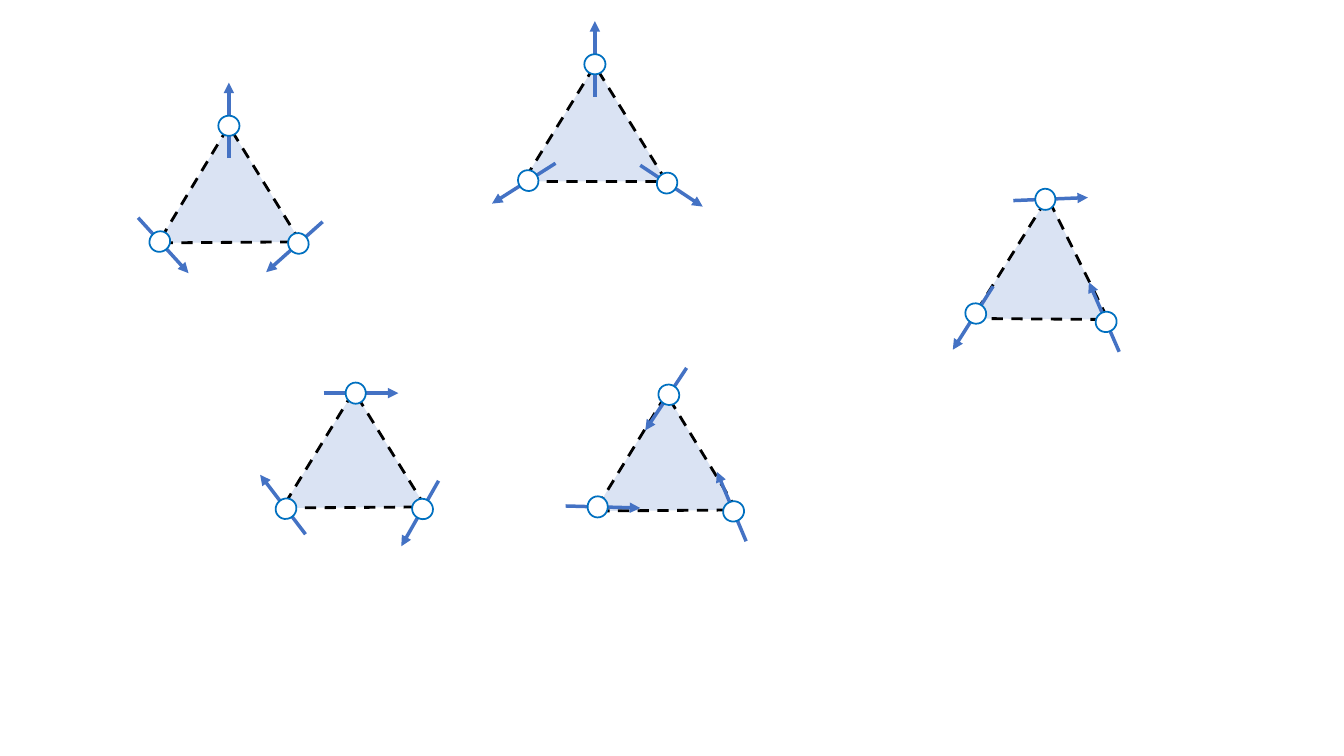
from math import atan2, degrees

from lxml import etree
from pptx import Presentation
from pptx.dml.color import RGBColor
from pptx.enum.dml import MSO_LINE
from pptx.enum.shapes import MSO_CONNECTOR, MSO_SHAPE
from pptx.oxml.ns import qn
from pptx.util import Inches, Pt

STRAIGHT = MSO_CONNECTOR.STRAIGHT
SITE = MSO_SHAPE.FLOWCHART_CONNECTOR
DASH = MSO_LINE.DASH

PALE_BLUE = RGBColor(0xDA, 0xE3, 0xF3)
ARROW_BLUE = RGBColor(0x44, 0x72, 0xC4)
SITE_BLUE = RGBColor(0x00, 0x70, 0xC0)
BLACK = RGBColor(0, 0, 0)
WHITE = RGBColor(0xFF, 0xFF, 0xFF)

# Each plaquette: triangle corners, then spins as (tail x, y, head x, y), in inches
PLAQUETTES = [
    ([(6.61, 1.8), (5.9, 0.65), (5.19, 1.8)],
     [(6.35, 1.64, 6.97, 2.05), (5.9, 0.96, 5.9, 0.21), (5.51, 1.62, 4.88, 2.02)]),
    ([(4.22, 5.03), (3.51, 3.88), (2.8, 5.04)],
     [(4.35, 4.77, 3.98, 5.42), (3.21, 3.9, 3.95, 3.9), (3.03, 5.3, 2.58, 4.71)]),
    ([(7.31, 5.06), (6.61, 3.91), (5.9, 5.07)],
     [(7.4, 5.37, 7.11, 4.68), (6.81, 3.65, 6.4, 4.27), (5.61, 5.02, 6.35, 5.04)]),
    ([(9.64, 3.16), (10.99, 3.17), (10.39, 1.96)],
     [(9.85, 2.84, 9.45, 3.47), (11.1, 3.49, 10.8, 2.8), (10.05, 1.99, 10.79, 1.96)]),
    ([(2.98, 2.4), (2.27, 1.25), (1.57, 2.41)],
     [(3.2, 2.2, 2.64, 2.7), (2.27, 1.57, 2.27, 0.82), (1.37, 2.16, 1.87, 2.71)]),
]
SITE_W, SITE_H = 0.21, 0.2
SITE_POS = 0.43  # share of the arrow length, from the tail


def style(sp, line, width, fill):
    sp.shadow.inherit = False
    sp.fill.solid()
    sp.fill.fore_color.rgb = fill
    sp.line.color.rgb = line
    sp.line.width = Pt(width)


def add_triangle(shapes, corners):
    points = [(Inches(x), Inches(y)) for x, y in corners]
    builder = shapes.build_freeform(*points[0])
    builder.add_line_segments(points[1:], close=True)
    sp = builder.convert_to_shape()
    style(sp, BLACK, 2, PALE_BLUE)
    sp.line.dash_style = DASH


def add_spin(shapes, x1, y1, x2, y2):
    # Arrow
    arrow = shapes.add_connector(STRAIGHT, *map(Inches, (x1, y1, x2, y2)))
    arrow.line.color.rgb = ARROW_BLUE
    arrow.line.width = Pt(2.5)
    etree.SubElement(arrow.line._get_or_add_ln(), qn("a:tailEnd"), type="triangle")
    etree.SubElement(arrow._element.spPr, qn("a:effectLst"))

    # Site circle, turned with the arrow
    dx, dy = x2 - x1, y2 - y1
    left = x1 + SITE_POS * dx - SITE_W / 2
    top = y1 + SITE_POS * dy - SITE_H / 2
    site = shapes.add_shape(SITE, *map(Inches, (left, top, SITE_W, SITE_H)))
    site.rotation = degrees(atan2(-dx, dy)) % 360
    style(site, SITE_BLUE, 1.25, WHITE)


prs = Presentation()
prs.slide_width, prs.slide_height = Inches(13.33), Inches(7.5)
s = prs.slides.add_slide(prs.slide_layouts[6])

# One group per plaquette
for corners, spins in PLAQUETTES:
    group = s.shapes.add_group_shape()
    add_triangle(group.shapes, corners)
    for spin in spins:
        add_spin(group.shapes, *spin)

prs.save("out.pptx")
